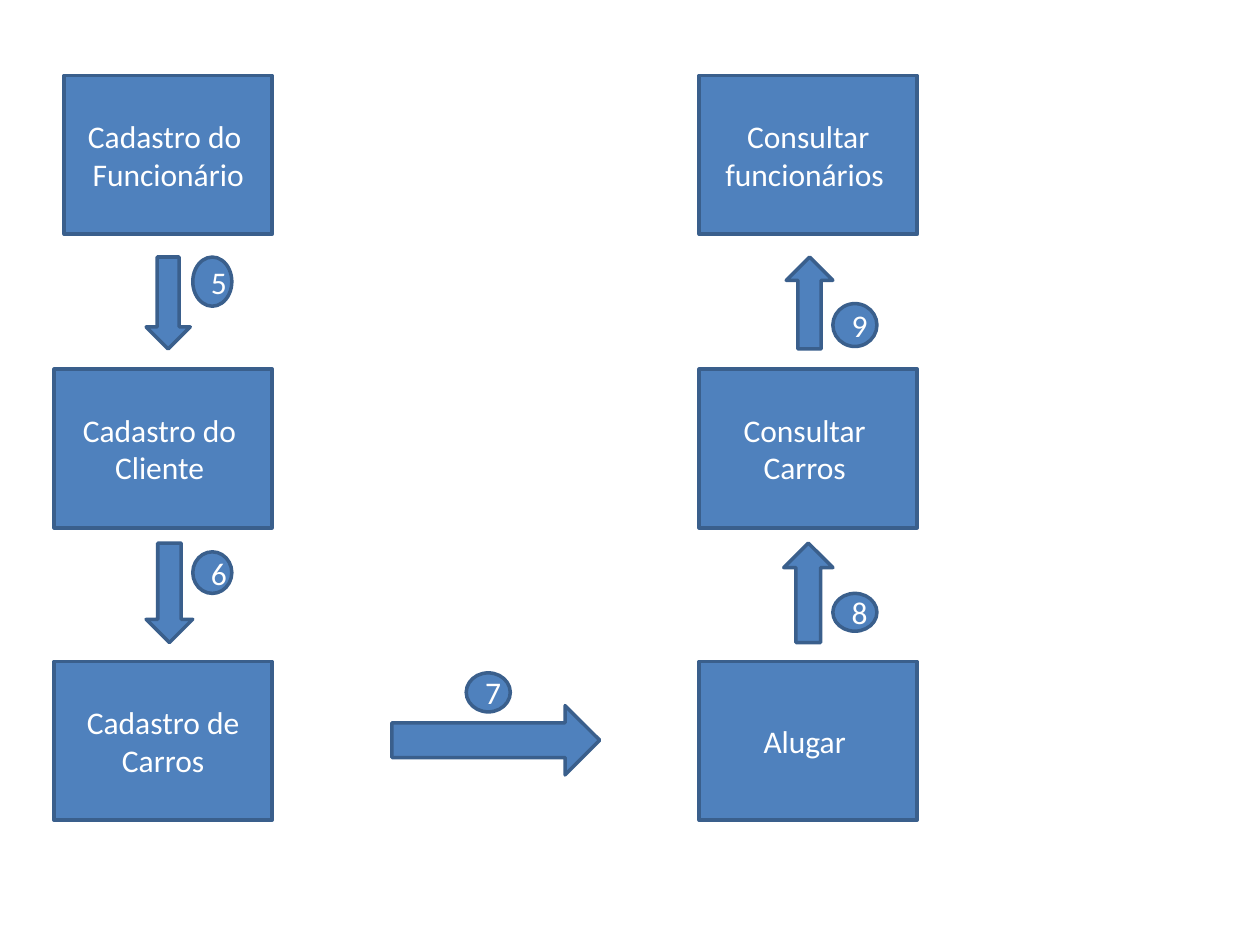
from pptx import Presentation
from pptx.dml.color import RGBColor
from pptx.enum.shapes import MSO_SHAPE as Shape
from pptx.enum.text import MSO_ANCHOR as Anchor, PP_ALIGN as Align
from pptx.util import Inches, Pt


def color(code):
    return RGBColor.from_string(code)


def add(kind, left, top, width, height, text=""):
    """Add a blue shape with centred white text."""
    item = slide.shapes.add_shape(
        kind, Inches(left), Inches(top), Inches(width), Inches(height))
    item.shadow.inherit = False
    item.fill.solid()
    item.fill.fore_color.rgb = color("4F81BD")
    item.line.color.rgb = color("3A5F8C")
    item.line.width = Pt(2)
    if not text:
        return
    frame = item.text_frame
    frame.text = text
    frame.word_wrap = True
    frame.vertical_anchor = Anchor.MIDDLE
    for para in frame.paragraphs:
        para.alignment = Align.CENTER
        for run in para.runs:
            run.font.name = "Calibri"
            run.font.size = Pt(18)
            run.font.color.rgb = color("FFFFFF")


deck = Presentation()
deck.slide_width = Inches(10)
deck.slide_height = Inches(7.5)
slide = deck.slides.add_slide(deck.slide_layouts[6])

# Boxes: left, width and text of each column, row by row
rows = [0.6, 2.93, 5.25]
forms = [
    (0.51, 1.65, "Cadastro do \nFuncionário"),
    (0.43, 1.73, "Cadastro do \nCliente "),
    (0.43, 1.73, "Cadastro de\nCarros"),
]
views = [
    (5.55, 1.73, "Consultar funcionários "),
    (5.55, 1.73, "Consultar \nCarros "),
    (5.55, 1.73, "Alugar "),
]
for column in (forms, views):
    for top, (left, width, text) in zip(rows, column):
        add(Shape.RECTANGLE, left, top, width, 1.26, text)

# Steps: an arrow and its numbered circle
steps = [
    (Shape.DOWN_ARROW, (1.16, 2.04, 0.35, 0.73), (1.53, 2.04, 0.31, 0.39)),
    (Shape.DOWN_ARROW, (1.16, 4.31, 0.37, 0.79), (1.53, 4.38, 0.31, 0.33)),
    (Shape.RIGHT_ARROW, (3.11, 5.6, 1.65, 0.55), (3.7, 5.34, 0.35, 0.31)),
    (Shape.UP_ARROW, (6.22, 4.31, 0.39, 0.79), (6.61, 4.71, 0.35, 0.3)),
    (Shape.UP_ARROW, (6.24, 2.04, 0.37, 0.73), (6.61, 2.41, 0.35, 0.34)),
]
for number, (kind, arrow, circle) in enumerate(steps, start=5):
    add(kind, *arrow)
    add(Shape.OVAL, *circle, str(number))

deck.save("out.pptx")
